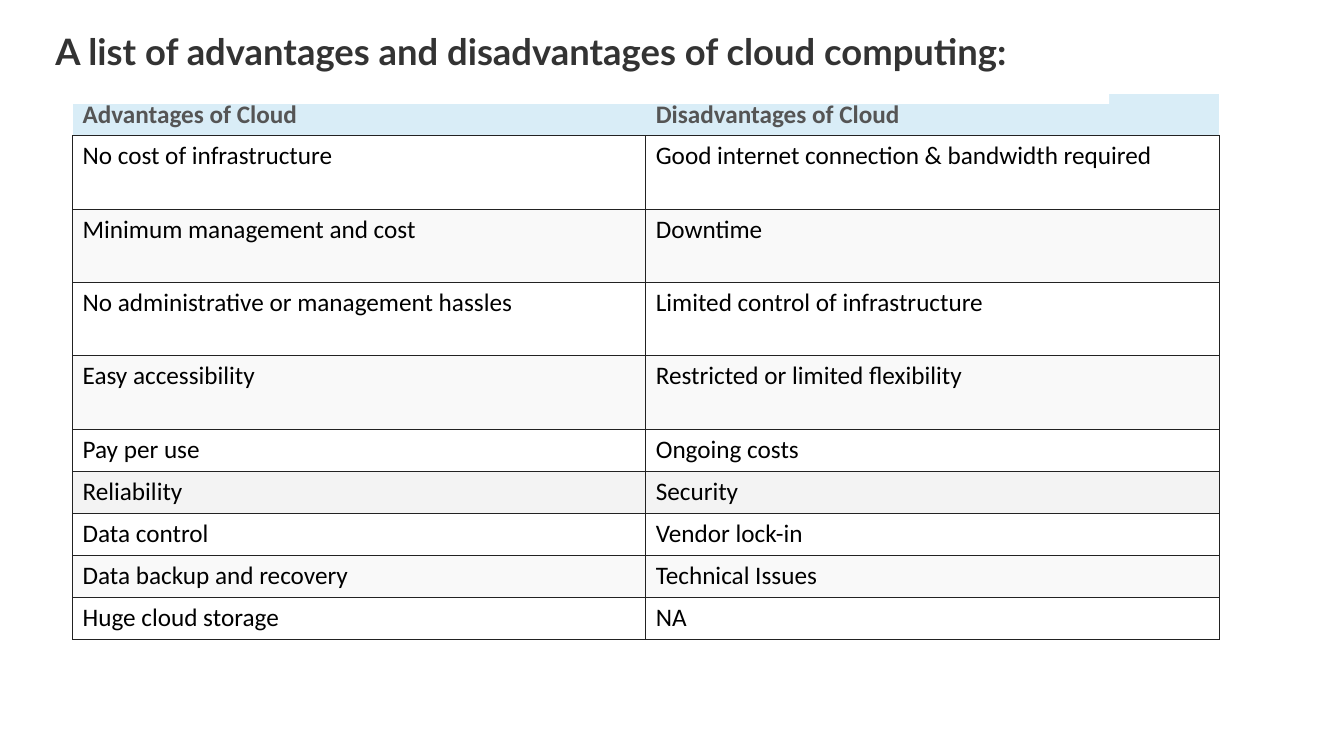
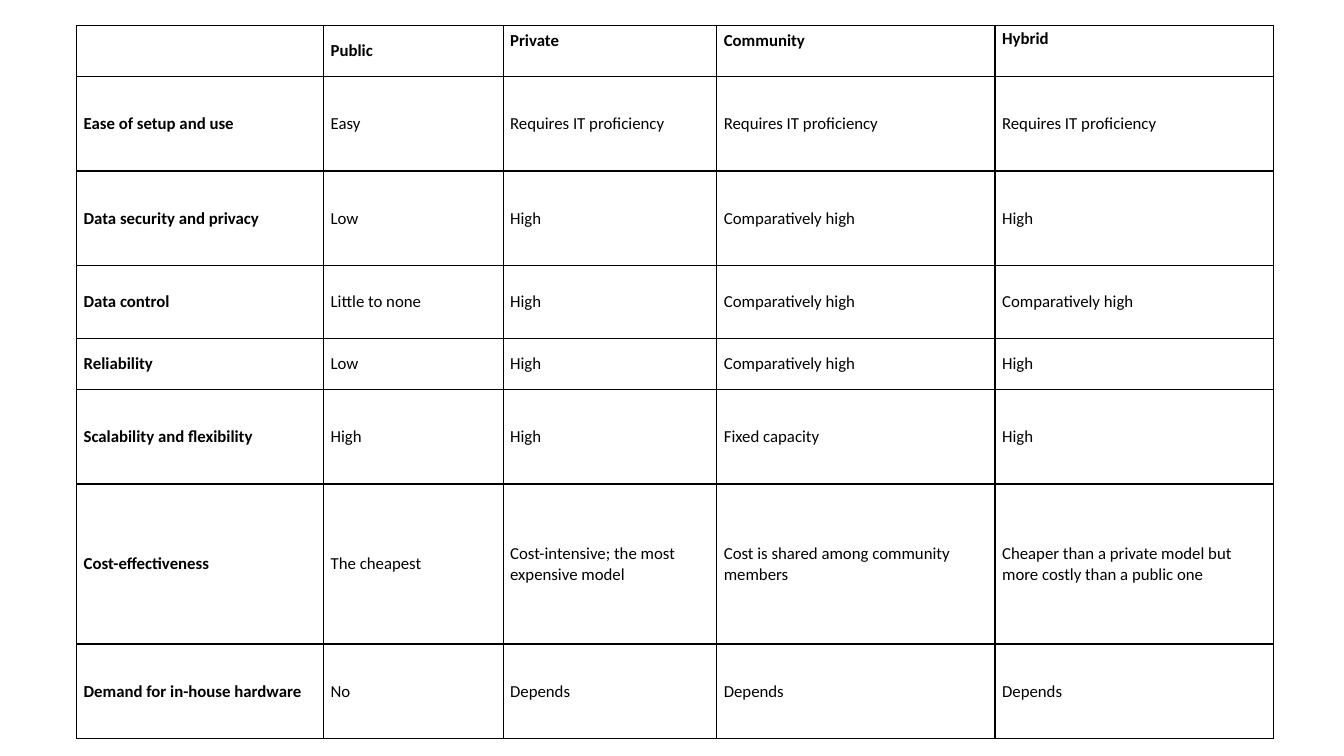
from lxml import etree
from pptx import Presentation
from pptx import util as u
from pptx.dml.color import RGBColor
from pptx.enum import shapes, text
from pptx.oxml.ns import qn

WHITE = RGBColor(0xFF, 0xFF, 0xFF)
BLACK = RGBColor(0x00, 0x00, 0x00)
TITLE_GREY = RGBColor(0x33, 0x33, 0x33)
HEADER_GREY = RGBColor(0x55, 0x55, 0x55)
HEADER_BLUE = RGBColor(0xD9, 0xED, 0xF7)
BAND_LIGHT = RGBColor(0xF9, 0xF9, 0xF9)
BAND_DARK = RGBColor(0xF3, 0xF3, 0xF3)
RULE_GREY = RGBColor(0x22, 0x22, 0x22)

SLIDE_WIDTH, SLIDE_HEIGHT = u.Inches(13.33), u.Inches(7.5)
TITLE_FONT, TABLE_FONT = "Lato", "Calibri"

TITLE = "A list of advantages and disadvantages of cloud computing:"
TITLE_BOX = (4.13, 3.87, 78.4, 9.87)
PROS_CONS_BOX = (5.4, 12.4, 85.3, 72.27)
MODELS_BOX = (5.7, 3.33, 89.05, 94.4)

PROS_CONS = [
    ("Advantages of Cloud", "Disadvantages of Cloud"),
    ("No cost of infrastructure", "Good internet connection & bandwidth required"),
    ("Minimum management and cost", "Downtime"),
    ("No administrative or management hassles", "Limited control of infrastructure"),
    ("Easy accessibility", "Restricted or limited flexibility"),
    ("Pay per use", "Ongoing costs"),
    ("Reliability", "Security"),
    ("Data control", "Vendor lock-in"),
    ("Data backup and recovery", "Technical Issues"),
    ("Huge cloud storage", "NA"),
]
PROS_CONS_ROWS = [0.42] + [0.73] * 4 + [0.42] * 5

MODELS = [
    ("", "Public", "Private", "Community", "Hybrid"),
    ("Ease of setup and use", "Easy") + ("Requires IT proficiency",) * 3,
    ("Data security and privacy", "Low", "High", "Comparatively high", "High"),
    ("Data control", "Little to none", "High", "Comparatively high", "Comparatively high"),
    ("Reliability", "Low", "High", "Comparatively high", "High"),
    ("Scalability and flexibility", "High", "High", "Fixed capacity", "High"),
    ("Cost-effectiveness", "The cheapest", "Cost-intensive; the most expensive model",
     "Cost is shared among community members",
     "Cheaper than a private model but more costly than a public one"),
    ("Demand for in-house hardware", "No") + ("Depends",) * 3,
]
MODELS_COLUMNS = [2.45, 1.78, 2.12, 2.76, 2.76]
MODELS_ROWS = [0.51, 0.94, 0.94, 0.72, 0.51, 0.94, 1.59, 0.94]


def place(box):
    """Turn percentages of the slide into left, top, width and height."""
    sides = (SLIDE_WIDTH, SLIDE_HEIGHT) * 2
    return [u.Emu(round(side * share / 100)) for side, share in zip(sides, box)]


def write(frame, words, *, font, size, color, bold=False):
    frame.word_wrap = True
    paragraph = frame.paragraphs[0]
    paragraph.alignment = text.PP_ALIGN.LEFT
    run = paragraph.add_run()
    run.text = words
    run.font.name, run.font.size, run.font.bold = font, u.Pt(size), bold
    run.font.color.rgb = color


def rule_cell(cell, color, width, sides):
    """Draw the named sides (of L, R, T, B) and clear the others."""
    properties = cell._tc.get_or_add_tcPr()
    for side in "LRTB":
        line = etree.SubElement(properties, qn(f"a:ln{side}"), w=str(u.Pt(width)))
        if side in sides:
            fill = etree.SubElement(line, qn("a:solidFill"))
            etree.SubElement(fill, qn("a:srgbClr"), val=str(color))
        else:
            etree.SubElement(line, qn("a:noFill"))


def share_out(parts, weights, total, dimension):
    for part, weight in zip(parts, weights):
        setattr(part, dimension, u.Emu(round(total * weight / sum(weights))))


def add_table(slide, box, rows, column_weights, row_weights, style_cell):
    left, top, width, height = place(box)
    table = slide.shapes.add_table(
        len(rows), len(rows[0]), left, top, width, height).table
    table.first_row = table.horz_banding = False
    share_out(table.columns, column_weights, width, "width")
    share_out(table.rows, row_weights, height, "height")
    for row, values in enumerate(rows):
        for column, words in enumerate(values):
            style_cell(table.cell(row, column), words, row, column)


def style_pros_cons(cell, words, row, column):
    header = row == 0
    rule_cell(cell, RULE_GREY, 0.75, "B" if header else "LRTB")
    if header:
        fill = HEADER_BLUE
    elif words in PROS_CONS[6]:
        fill = BAND_DARK
    else:
        fill = WHITE if row % 2 else BAND_LIGHT
    cell.fill.solid()
    cell.fill.fore_color.rgb = fill
    cell.vertical_anchor = text.MSO_ANCHOR.MIDDLE if header else text.MSO_ANCHOR.TOP
    write(cell.text_frame, words, font=TABLE_FONT, size=18, bold=header,
          color=HEADER_GREY if header else BLACK)


def style_models(cell, words, row, column):
    rule_cell(cell, BLACK, 1, "LRTB")
    cell.fill.solid()
    cell.fill.fore_color.rgb = WHITE
    raised = row == 0 and column > 1
    cell.vertical_anchor = text.MSO_ANCHOR.TOP if raised else text.MSO_ANCHOR.MIDDLE
    cell.margin_left = cell.margin_right = u.Inches(0.07)
    cell.margin_top = cell.margin_bottom = u.Inches(0.04)
    if raised:
        cell.margin_top = u.Inches(0.03 if words == "Hybrid" else 0.05)
    if words:
        write(cell.text_frame, words, font=TABLE_FONT, size=12, color=BLACK,
              bold=row == 0 or column == 0)


def add_title(slide, words, box):
    title = slide.shapes.add_shape(shapes.MSO_SHAPE.RECTANGLE, *place(box))
    title.shadow.inherit = False
    title.fill.solid()
    title.fill.fore_color.rgb = WHITE
    title.line.fill.background()
    frame = title.text_frame
    frame.margin_left = frame.margin_right = frame.margin_top = frame.margin_bottom = 0
    frame.vertical_anchor = text.MSO_ANCHOR.TOP
    write(frame, words, font=TITLE_FONT, size=26, color=TITLE_GREY, bold=True)


def add_pros_cons_slide(slide):
    add_table(slide, PROS_CONS_BOX, PROS_CONS, [1, 1], PROS_CONS_ROWS, style_pros_cons)
    add_title(slide, TITLE, TITLE_BOX)


def add_models_slide(slide):
    add_table(slide, MODELS_BOX, MODELS, MODELS_COLUMNS, MODELS_ROWS, style_models)


def main():
    presentation = Presentation()
    presentation.slide_width, presentation.slide_height = SLIDE_WIDTH, SLIDE_HEIGHT
    blank = presentation.slide_layouts[6]
    for build in (add_pros_cons_slide, add_models_slide):
        build(presentation.slides.add_slide(blank))
    presentation.save("out.pptx")


if __name__ == "__main__":
    main()
